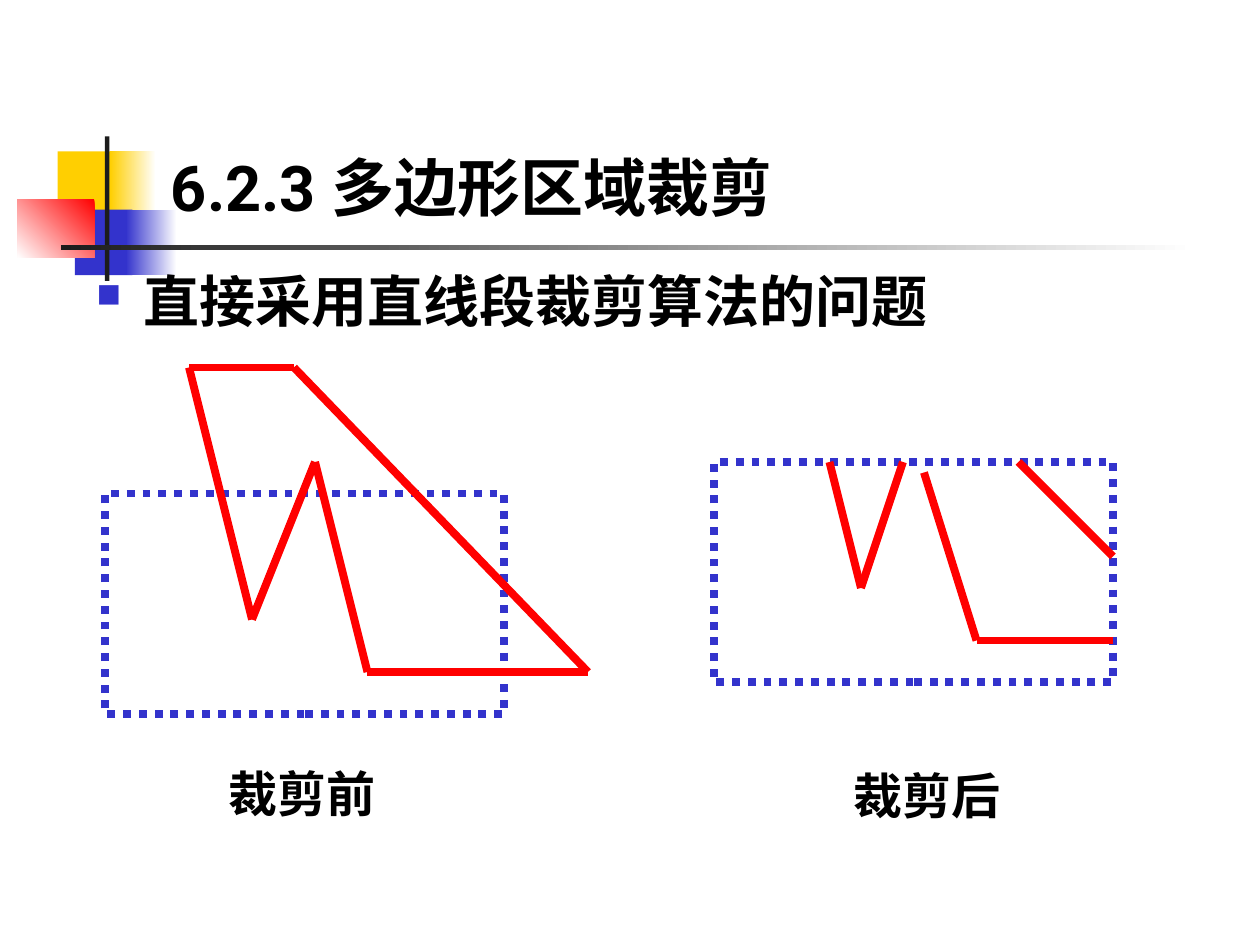
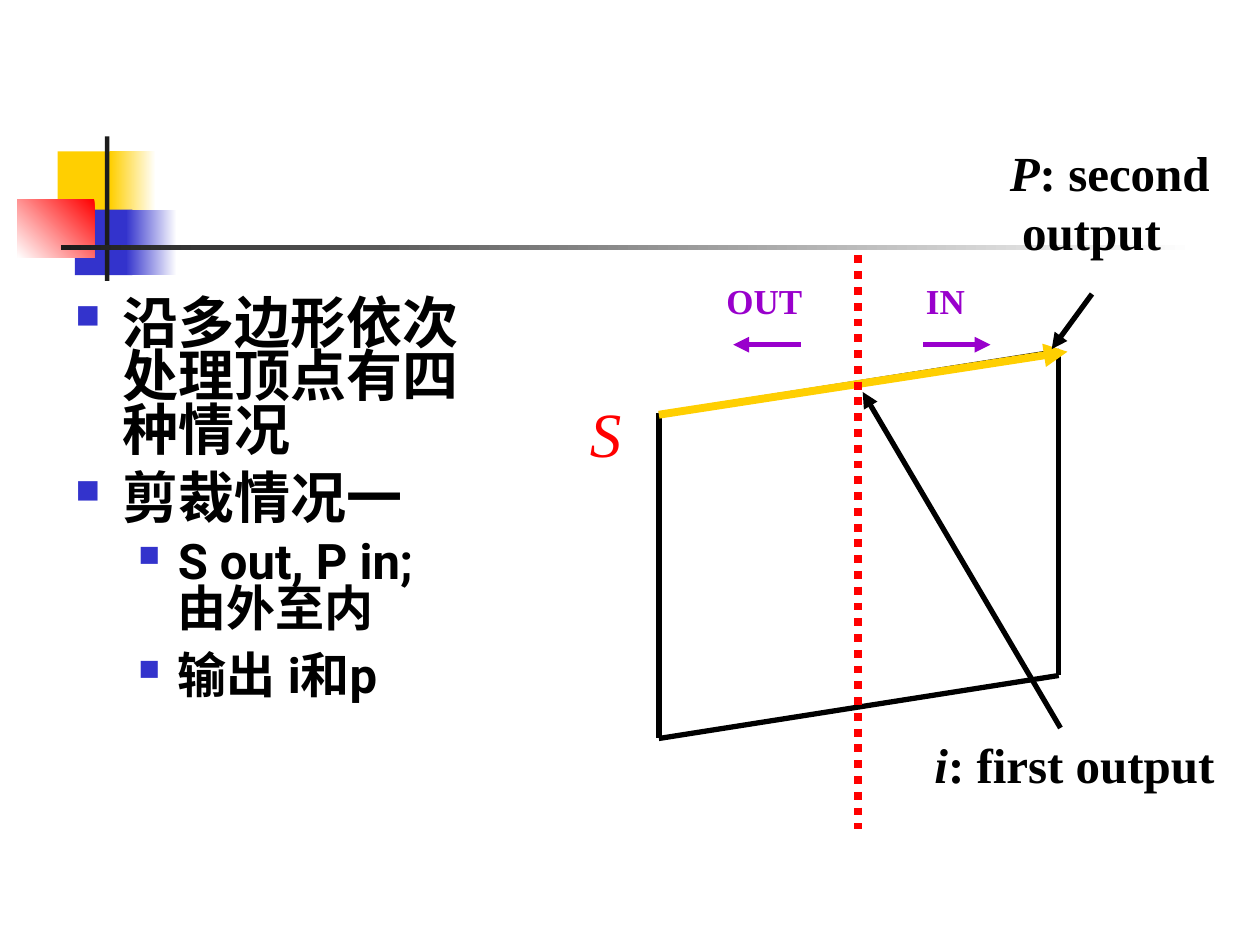
"""Build two slides on clipping polygons against a window."""
from itertools import pairwise

from lxml import etree
from pptx import Presentation
from pptx.dml.color import RGBColor
from pptx.enum.dml import MSO_LINE
from pptx.enum.shapes import MSO_CONNECTOR, MSO_SHAPE
from pptx.enum.text import MSO_ANCHOR, MSO_AUTO_SIZE, PP_ALIGN
from pptx.oxml.ns import qn
from pptx.util import Pt

BLACK = RGBColor(0x00, 0x00, 0x00)
WHITE = RGBColor(0xFF, 0xFF, 0xFF)
DARK = RGBColor(0x1C, 0x1C, 0x1C)
GOLD = RGBColor(0xFF, 0xCF, 0x01)
BLUE = RGBColor(0x33, 0x33, 0xCC)
RED = RGBColor(0xFF, 0x00, 0x00)
PURPLE = RGBColor(0x99, 0x00, 0xCC)
SANS = "Roboto"
SERIF = "Times New Roman"
TITLE_ONLY, BLANK = 5, 6


def write(para, text, size=28, font=SANS, color=BLACK, bold=True, italic=False):
    run = para.add_run()
    run.text = text
    style = run.font
    style.size, style.name = Pt(size), font
    style.bold, style.italic = bold, italic
    style.color.rgb = color
    etree.SubElement(style._element, qn("a:ea"), typeface=font)


class Deck:
    def __init__(self):
        self.show = Presentation()
        self.show.slide_width, self.show.slide_height = Pt(720), Pt(540)
        self.slide = None

    def start(self, title=None):
        layout = self.show.slide_layouts[TITLE_ONLY if title else BLANK]
        self.slide = self.show.slides.add_slide(layout)
        for mark in list(self.slide.placeholders):
            if mark != self.slide.shapes.title:
                mark.element.getparent().remove(mark.element)
        self.motif()
        if title:
            self.title(title)

    def motif(self):
        self.rect(33, 86.5, 35, 37.5, GOLD)
        self.rect(63, 86.5, 26, 37.5, WHITE, GOLD)
        self.rect(42.75, 119.75, 33, 37.5, BLUE)
        self.rect(72, 119.75, 29, 37.5, WHITE, BLUE)
        self.rect(10, 113.75, 44, 33.5, RED, WHITE, angle=225)
        self.rect(60, 78, 2.5, 82.5, DARK)
        self.rect(35, 140, 648, 2.7, WHITE, DARK)

    def title(self, text):
        shape = self.slide.shapes.title
        shape.left, shape.top = Pt(90.5), Pt(16.5)
        shape.width, shape.height = Pt(613), Pt(115)
        frame = shape.text_frame
        frame.auto_size = MSO_AUTO_SIZE.NONE
        frame.vertical_anchor = MSO_ANCHOR.BOTTOM
        para = frame.paragraphs[0]
        para.alignment = PP_ALIGN.LEFT
        write(para, text, size=36)

    def rect(self, x, y, wide, high, fill=None, fade=None, angle=180):
        shape = self.slide.shapes.add_shape(
            MSO_SHAPE.RECTANGLE, Pt(x), Pt(y), Pt(wide), Pt(high))
        shape.shadow.inherit = False
        shape.line.fill.background()
        if fade is not None:
            shape.fill.gradient()
            shape.fill.gradient_angle = angle
            for stop, color in zip(shape.fill.gradient_stops, (fill, fade)):
                stop.color.rgb = color
        elif fill is not None:
            shape.fill.solid()
            shape.fill.fore_color.rgb = fill
        else:
            shape.fill.background()
        return shape

    def window(self, x, y):
        line = self.rect(x, y, 228, 126).line
        line.color.rgb, line.width = BLUE, Pt(4.5)
        line.dash_style = MSO_LINE.ROUND_DOT

    def line(self, begin, end, color=BLACK, width=3, arrow=False, dots=False):
        link = self.slide.shapes.add_connector(
            MSO_CONNECTOR.STRAIGHT, *map(Pt, begin + end))
        link.line.color.rgb, link.line.width = color, Pt(width)
        if dots:
            link.line.dash_style = MSO_LINE.ROUND_DOT
        if arrow:
            etree.SubElement(link.line._get_or_add_ln(), qn("a:tailEnd"),
                             type="triangle")
        etree.SubElement(link._element.spPr, qn("a:effectLst"))

    def chain(self, *points, **style):
        for begin, end in pairwise(points):
            self.line(begin, end, **style)

    def box(self, x, y, wide, high):
        shape = self.slide.shapes.add_textbox(Pt(x), Pt(y), Pt(wide), Pt(high))
        shape.text_frame.word_wrap = True
        return shape.text_frame

    def label(self, x, y, wide, high, text, **style):
        write(self.box(x, y, wide, high).paragraphs[0], text, **style)

    def bullets(self, x, y, wide, high, items):
        frame = self.box(x, y, wide, high)
        for index, (level, gap, text) in enumerate(items):
            para = frame.add_paragraph() if index else frame.paragraphs[0]
            left, hang = ((27, 27), (58.5, 22.5))[level]
            props = para._p.get_or_add_pPr()
            props.set("marL", str(Pt(left)))
            props.set("indent", str(-Pt(hang)))
            tint = etree.SubElement(props, qn("a:buClr"))
            etree.SubElement(tint, qn("a:srgbClr"), val=str(BLUE))
            etree.SubElement(props, qn("a:buSzPct"), val="60000")
            etree.SubElement(props, qn("a:buFont"), typeface="Wingdings",
                             charset="2")
            etree.SubElement(props, qn("a:buChar"), char="n")
            para.level = level
            para.line_spacing = 0.8
            if gap:
                para.space_before = Pt(gap)
            for row, part in enumerate(text.split("\n")):
                if row:
                    para.add_line_break()
                write(para, part, size=(32, 28)[level])


def before_after(deck):
    deck.start("6.2.3 多边形区域裁剪")
    deck.bullets(48, 156, 528, 43, [(0, 0, "直接采用直线段裁剪算法的问题")])
    edge = {"color": RED, "width": 4.5}
    deck.window(60, 282)
    deck.chain((168, 210), (108, 210), (144, 354), (180, 264), (210, 384),
               (336, 384), (168, 210), **edge)
    deck.window(408, 264)
    deck.chain((474, 264), (492, 336), (516, 264), **edge)
    deck.chain((528, 270), (558, 366), (636, 366), **edge)
    deck.line((582, 264), (636, 318), **edge)
    deck.label(123.5, 433, 110, 41, "裁剪前")
    deck.label(480.5, 434, 110, 41, "裁剪后")


def case_one(deck):
    deck.start()
    deck.bullets(36, 168, 240, 288, [
        (0, 0, "沿多边形依次处理顶点有四种情况"),
        (0, 8, "剪裁情况一"),
        (1, 7, "S out, P in;\n由外至内"),
        (1, 11.5, "输出 i和p"),
    ])
    deck.line((376.5, 236), (605, 200), width=1.5)
    deck.chain((376.5, 236), (376.5, 422), (605, 386), (605, 200))
    deck.line((376.5, 237), (610, 201), color=GOLD, width=4.5, arrow=True)

    note = deck.box(570, 78, 144, 75)
    write(note.paragraphs[0], "P", font=SERIF, italic=True)
    write(note.paragraphs[0], ": second", font=SERIF)
    below = note.add_paragraph()
    below._p.get_or_add_pPr().set("marL", str(Pt(7)))
    write(below, "output", font=SERIF)

    deck.line((624, 168), (601, 199.5), arrow=True)
    deck.line((606, 416), (493, 224), arrow=True)
    deck.line((490.5, 146), (490.5, 474), color=RED, width=4.5, dots=True)
    deck.label(330, 222, 40, 50, "S", size=36, font=SERIF, color=RED,
               bold=False, italic=True)
    side = {"size": 20, "font": SERIF, "color": PURPLE}
    deck.label(522, 156, 46, 32, "IN", **side)
    deck.label(408, 156, 68, 32, "OUT", **side)
    deck.line((457.5, 197), (419, 197), color=PURPLE, arrow=True)
    deck.line((527.5, 197), (566, 197), color=PURPLE, arrow=True)

    note = deck.box(534, 416, 186, 41)
    note.margin_left = note.margin_right = Pt(0)
    write(note.paragraphs[0], "i", font=SERIF, italic=True)
    write(note.paragraphs[0], ": first output", font=SERIF)


def main():
    deck = Deck()
    before_after(deck)
    case_one(deck)
    deck.show.save("out.pptx")


if __name__ == "__main__":
    main()
